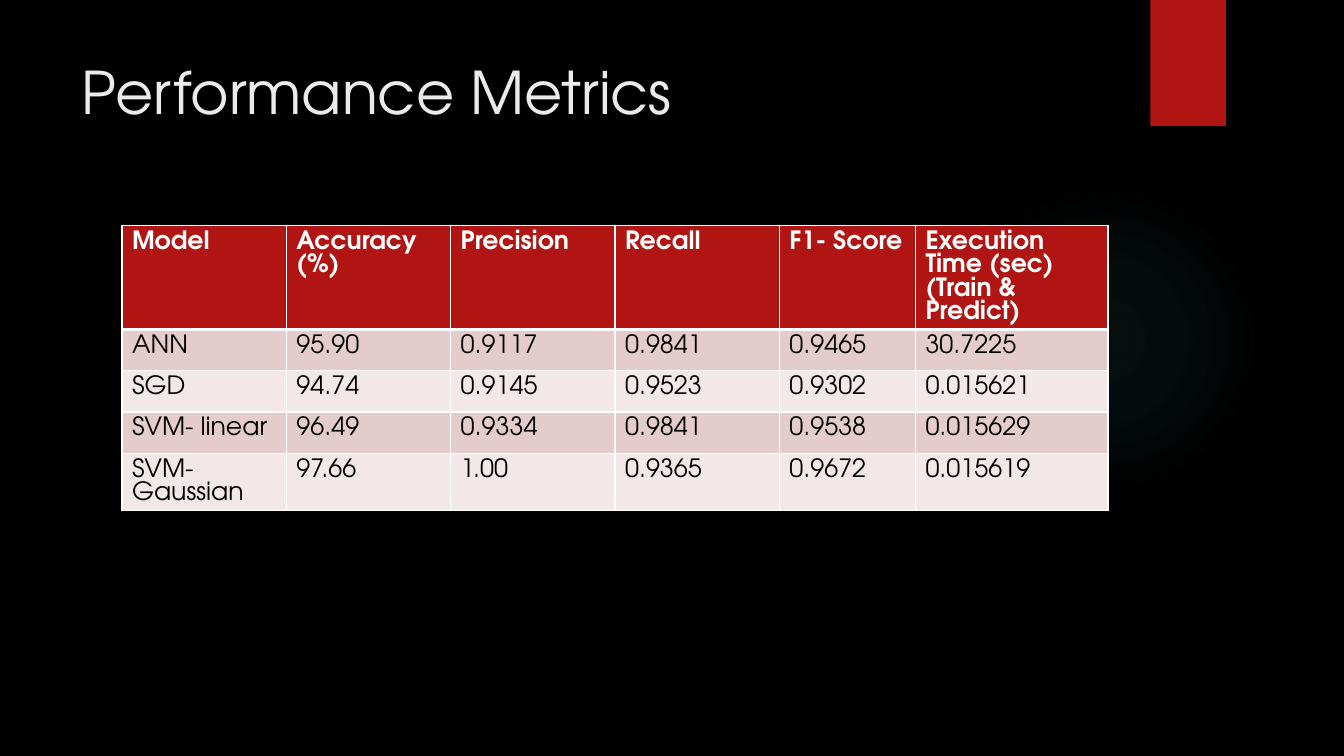
from pptx import Presentation
from pptx.dml.color import RGBColor
from pptx.enum.shapes import MSO_SHAPE as Shape
from pptx.enum.text import MSO_ANCHOR, PP_ALIGN
from pptx.oxml import parse_xml
from pptx.oxml.ns import nsdecls
from pptx.util import Inches, Pt

BLACK = RGBColor(0x00, 0x00, 0x00)
WHITE = RGBColor(0xFF, 0xFF, 0xFF)
TITLE_GREY = RGBColor(0xEB, 0xEB, 0xEB)
RED = RGBColor(0xB0, 0x15, 0x13)
GLOW_TEAL = RGBColor(0x50, 0xB9, 0xC1)
BANDS = (RGBColor(0xE4, 0xCC, 0xCC), RGBColor(0xF2, 0xE8, 0xE7))

METRICS = [
    ("Model", "Accuracy\n(%)", "Precision", "Recall", "F1- Score",
     "Execution Time (sec)\n(Train & Predict)"),
    ("ANN", "95.90", "0.9117", "0.9841", "0.9465", "30.7225"),
    ("SGD", "94.74", "0.9145", "0.9523", "0.9302", "0.015621"),
    ("SVM- linear", "96.49", "0.9334", "0.9841", "0.9538", "0.015629"),
    ("SVM- Gaussian", "97.66", "1.00", "0.9365", "0.9672", "0.015619"),
]
COL_WIDTHS = (1.63, 1.63, 1.63, 1.63, 1.35, 1.91)
ROW_HEIGHTS = (1.02, 0.41, 0.41, 0.41, 0.57)


class MetricsSlide:
    font = "TeX Gyre Adventor"

    def __init__(self, prs):
        self.s = prs.slides.add_slide(prs.slide_layouts[5])
        fill = self.s.background.fill
        fill.solid()
        fill.fore_color.rgb = BLACK

    def style_text(self, tf, size, color, bold=False):
        for p in tf.paragraphs:
            p.alignment = PP_ALIGN.LEFT
            for r in p.runs:
                r.font.name = self.font
                r.font.size = Pt(size)
                r.font.bold = bold
                r.font.color.rgb = color

    def shape(self, kind, x, y, w, h, color):
        sp = self.s.shapes.add_shape(kind, Inches(x), Inches(y), Inches(w), Inches(h))
        sp.shadow.inherit = False
        sp.line.fill.background()
        sp.fill.solid()
        sp.fill.fore_color.rgb = color
        return sp

    def glow(self, x, y, size, color, stops):
        """Circle that fades outwards; stops are (position %, opacity %)."""
        sp = self.shape(Shape.OVAL, x, y, size, size, color)
        gs = "".join(
            f'<a:gs pos="{pos * 1000}"><a:srgbClr val="{color}">'
            f'<a:alpha val="{alpha * 1000}"/></a:srgbClr></a:gs>'
            for pos, alpha in stops)
        gradient = parse_xml(
            f'<a:gradFill {nsdecls("a")}><a:gsLst>{gs}</a:gsLst><a:path path="circle">'
            '<a:fillToRect l="50000" t="50000" r="50000" b="50000"/></a:path></a:gradFill>')
        props = sp.element.spPr
        props.replace(props.find(".//{*}solidFill"), gradient)

    def title(self, text, x, y, w, h):
        sp = self.s.shapes.title
        sp.left, sp.top, sp.width, sp.height = map(Inches, (x, y, w, h))
        tf = sp.text_frame
        tf.text = text
        tf.word_wrap = True
        tf.vertical_anchor = MSO_ANCHOR.TOP
        self.style_text(tf, 42, TITLE_GREY)

    def borders(self, cell, **widths):
        props = cell._tc.get_or_add_tcPr()
        for i, side in enumerate("LRTB"):
            props.insert(i, parse_xml(
                f'<a:ln{side} {nsdecls("a")} w="{Pt(widths.get(side, 1))}"><a:solidFill>'
                f'<a:srgbClr val="{WHITE}"/></a:solidFill></a:ln{side}>'))

    def table(self, x, y, col_widths, row_heights, rows):
        table = self.s.shapes.add_table(
            len(rows), len(col_widths), Inches(x), Inches(y),
            Inches(sum(col_widths)), Inches(sum(row_heights))).table
        for col, width in zip(table.columns, col_widths):
            col.width = Inches(width)
        for i, (row, height, values) in enumerate(zip(table.rows, row_heights, rows)):
            row.height = Inches(height)
            header = i == 0
            for cell, value in zip(row.cells, values):
                cell.text_frame.text = value
                self.style_text(cell.text_frame, 18, WHITE if header else BLACK, header)
                cell.fill.solid()
                cell.fill.fore_color.rgb = RED if header else BANDS[(i - 1) % 2]
                self.borders(cell, B=3 if header else 1, T=3 if i == 1 else 1)


def main():
    prs = Presentation()
    prs.slide_width, prs.slide_height = Inches(13.33), Inches(7.5)
    slide = MetricsSlide(prs)
    slide.glow(9.41, 1.83, 3.08, GLOW_TEAL, [(0, 7), (36, 6), (69, 0)])
    slide.shape(Shape.RECTANGLE, 11.41, 0, 0.75, 1.25, RED)
    slide.title("Performance Metrics", 0.71, 0.5, 10.29, 1.53)
    slide.table(1.21, 2.24, COL_WIDTHS, ROW_HEIGHTS, METRICS)
    prs.save("out.pptx")


if __name__ == "__main__":
    main()
